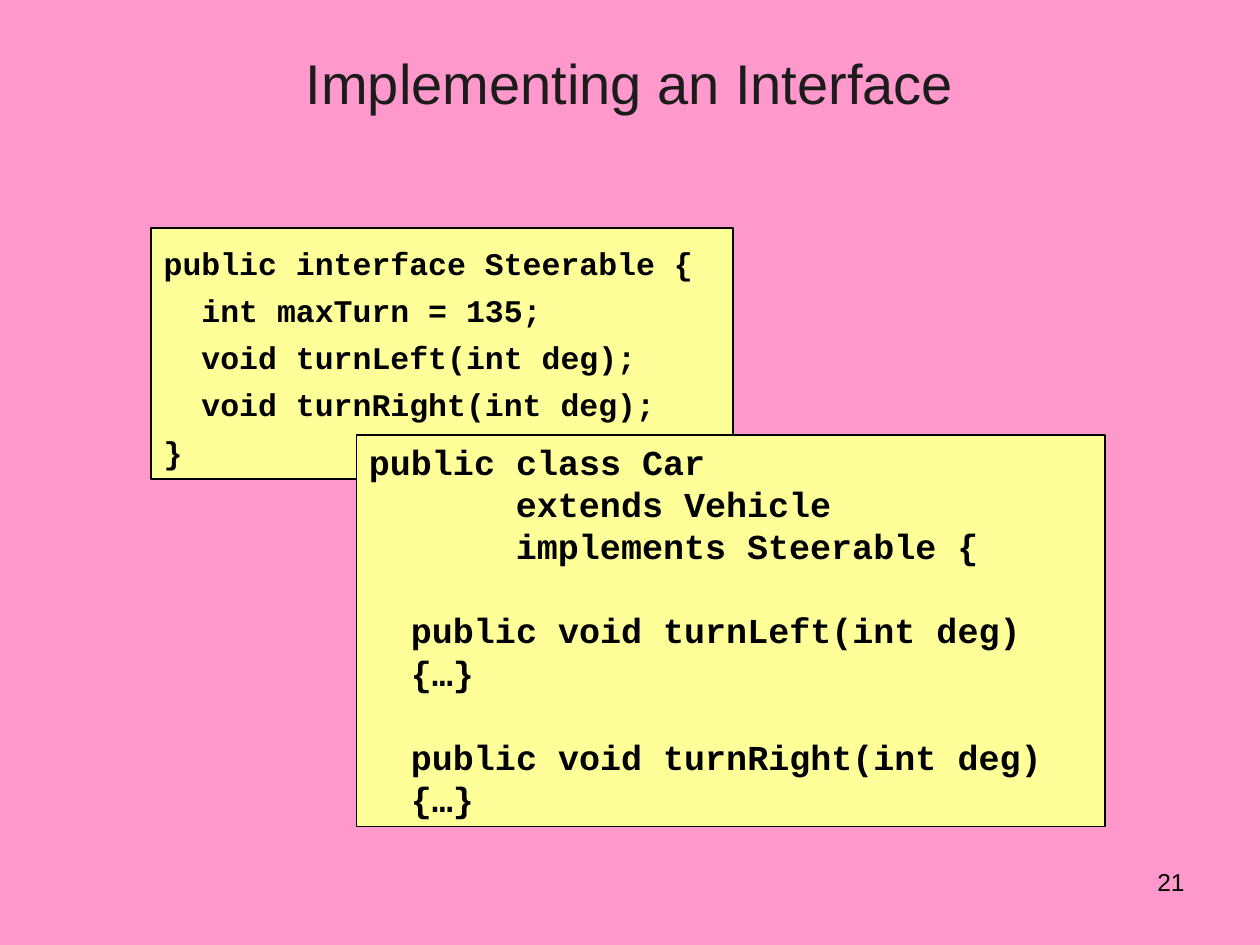
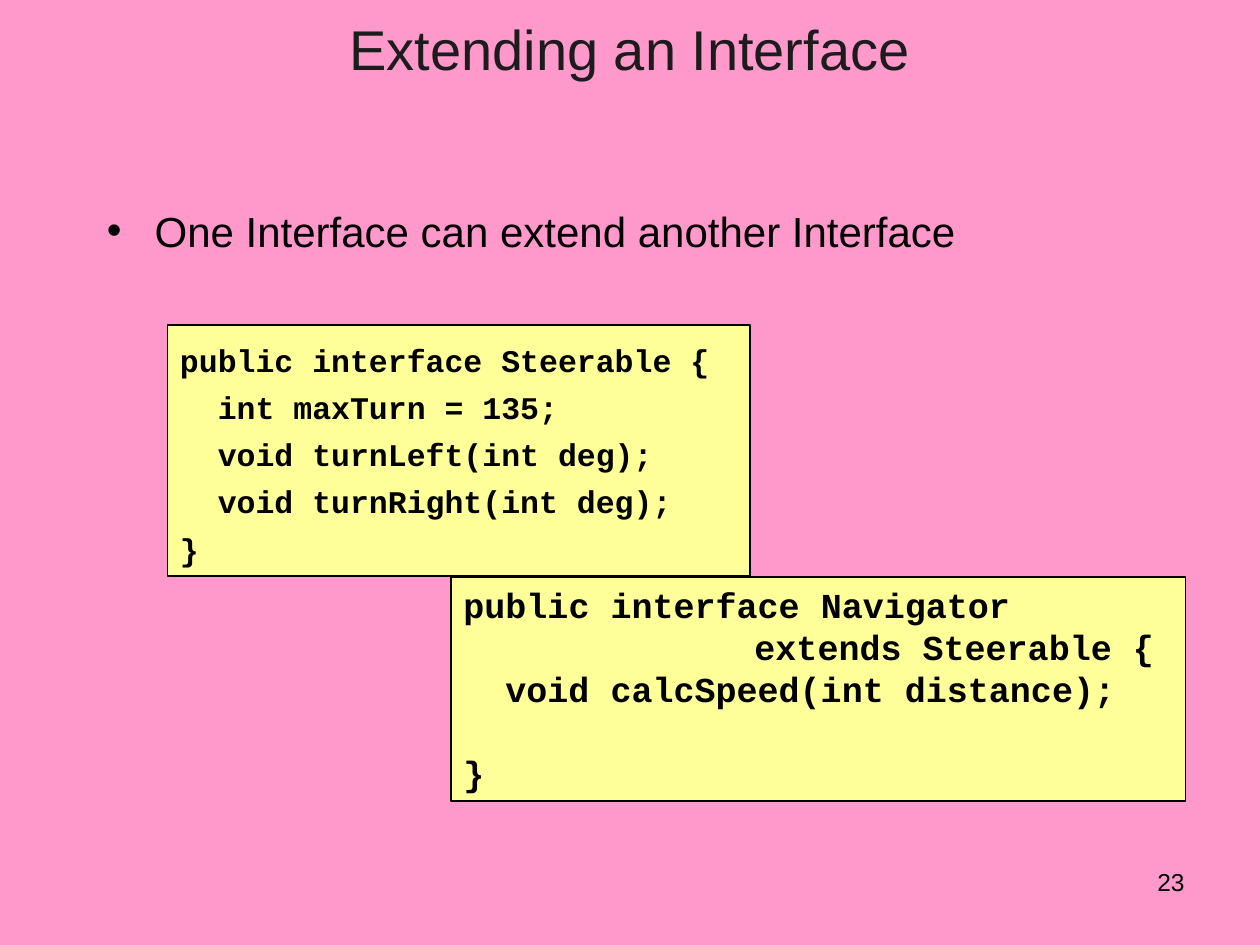
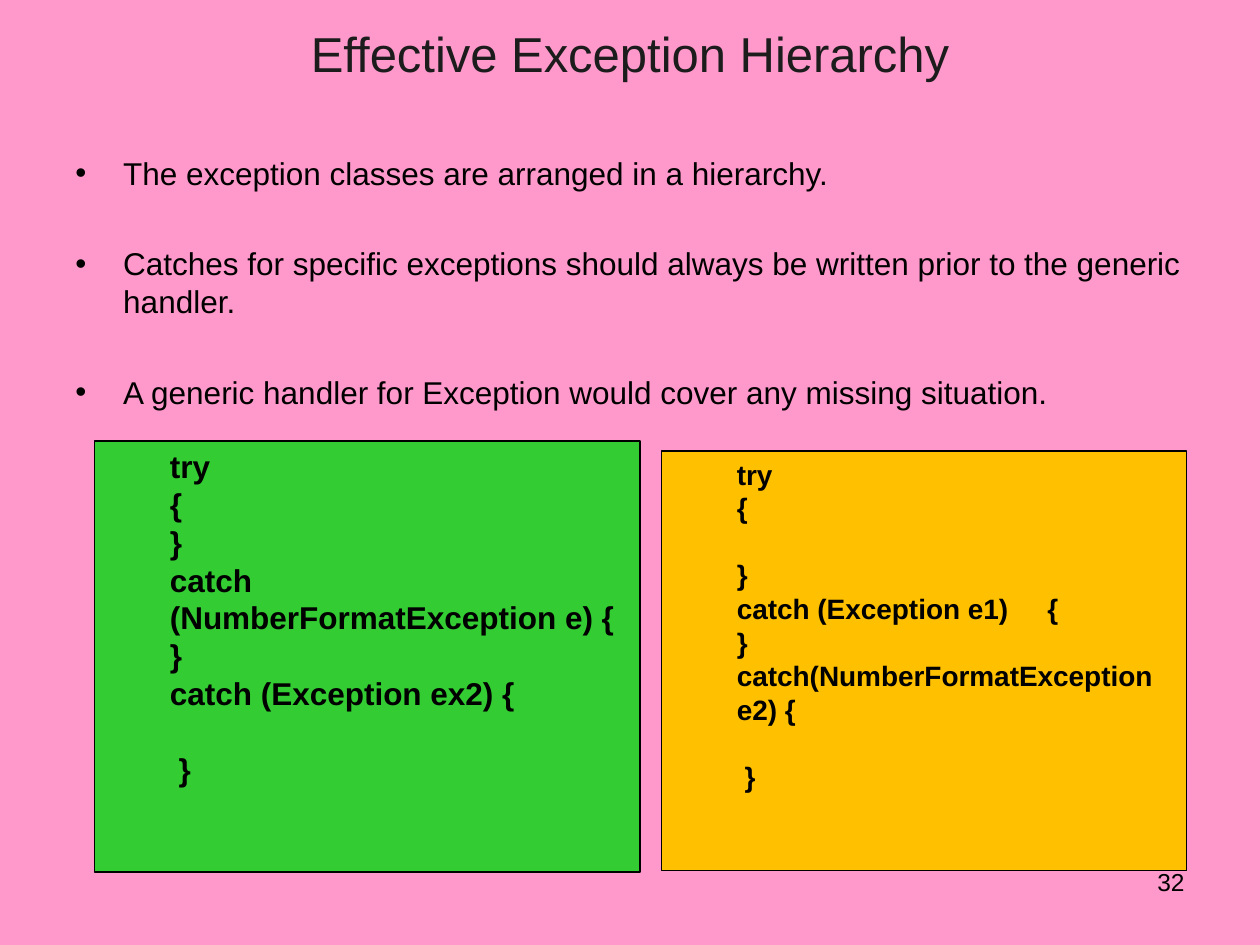
from dataclasses import dataclass

from lxml import etree
from pptx import Presentation
from pptx import util as u
from pptx.dml.color import RGBColor
from pptx.enum import shapes, text
from pptx.oxml import ns

COLOURS = {
    "page": "FF99CC",
    "title": "1C1C1C",
    "ink": "000000",
    "code": "FFFF99",
    "good": "33CC33",
    "bad": "FFC000",
}
LINE_HEIGHT = 1.2  # of the font size
MONO_WIDTH = 0.6  # of the font size
HANGING = 0.38
BULLET_GAP = 1.4  # in lines

TITLE = {"name": "Arial", "size": 32, "colour": "title"}
BODY = {"name": "Arial", "size": 18, "colour": "ink"}
NUMBER = {**BODY, "size": 14}
CODE = {"name": "Courier New", "size": 20, "bold": True, "colour": "ink"}
SAMPLE = {**BODY, "bold": True}


@dataclass
class Line:
    """One line of code; indent is in characters, gap in blank lines above."""
    words: str
    indent: float = 0
    gap: int = 0
    tail: str = ""


STEERABLE = [
    Line("public interface Steerable {"),
    Line("int maxTurn = 135;", 2),
    Line("void turnLeft(int deg);", 2),
    Line("void turnRight(int deg);", 2),
    Line("}"),
]
CAR = [
    Line("public class Car"),
    Line("extends Vehicle", 7),
    Line("implements Steerable {", 7),
    Line("public void turnLeft(int deg)", 2, gap=1),
    Line("{…}", 2),
    Line("public void turnRight(int deg)", 2, gap=1),
    Line("{…}", 2),
]
NAVIGATOR = [
    Line("public interface Navigator"),
    Line("extends Steerable {", 13.86),
    Line("void calcSpeed(int distance);", 2),
    Line("}", gap=1),
]
SPECIFIC_FIRST = [
    Line("try"),
    Line("{"),
    Line("}"),
    Line("catch (NumberFormatException e) {"),
    Line("}"),
    Line("catch (Exception ex2) {"),
    Line(" }", gap=1),
]
GENERIC_FIRST = [
    Line("try"),
    Line("{"),
    Line("}", gap=1),
    Line("catch (Exception e1)", tail="{"),
    Line("}"),
    Line("catch(NumberFormatException e2) {"),
    Line(" }", gap=1),
]


def colour(name):
    return RGBColor.from_string(COLOURS[name])


def add_span(para, words, style):
    span = para.add_run()
    span.text = words
    values = {**style, "size": u.Pt(style["size"])}
    span.font.color.rgb = colour(values.pop("colour"))
    for key, value in values.items():
        setattr(span.font, key, value)
    return span


def add_para(frame, words, style, first=False, spacing=1, gap=0, align=None):
    """Add a paragraph; gap is the space above it, in lines."""
    para = frame.paragraphs[0] if first else frame.add_paragraph()
    line = style["size"] * LINE_HEIGHT
    values = {"alignment": align, "line_spacing": u.Pt(line * spacing)}
    if gap:
        values["space_before"] = u.Pt(line * gap)
    for key, value in values.items():
        setattr(para, key, value)
    add_span(para, words, style)
    return para


def set_indent(para, left, first_line=0):
    props = para._p.get_or_add_pPr()
    props.set("marL", str(u.Inches(left)))
    props.set("indent", str(u.Inches(first_line)))
    return props


def add_text_box(page, box, anchor=text.MSO_ANCHOR.TOP):
    frame = page.shapes.add_textbox(*map(u.Inches, box)).text_frame
    frame.word_wrap = True
    frame.vertical_anchor = anchor
    return frame


def add_page(deck, title, number, title_top=0.3, title_size=32):
    page = deck.slides.add_slide(deck.slide_layouts[6])
    page.background.fill.solid()
    page.background.fill.fore_color.rgb = colour("page")
    frame = add_text_box(page, (7.17, 6.83, 2.33, 0.52))
    add_para(frame, number, NUMBER, first=True, align=text.PP_ALIGN.RIGHT)
    frame = add_text_box(page, (0.5, title_top, 9, 0.7), text.MSO_ANCHOR.MIDDLE)
    add_para(frame, title, {**TITLE, "size": title_size}, first=True,
             align=text.PP_ALIGN.CENTER)
    return page


def add_bullets(page, box, items, size):
    frame = add_text_box(page, box)
    for index, item in enumerate(items):
        para = add_para(frame, item, {**BODY, "size": size}, first=index == 0,
                        gap=BULLET_GAP if index else 0)
        props = set_indent(para, HANGING, -HANGING)
        for tag, key, value in (("a:buFont", "typeface", "Arial"),
                                ("a:buChar", "char", "•")):
            etree.SubElement(props, ns.qn(tag)).set(key, value)


def add_code(page, box, lines, style=CODE, fill="code", border=1, margin=0,
             spacing=1, align=text.PP_ALIGN.LEFT):
    panel = page.shapes.add_shape(shapes.MSO_SHAPE.RECTANGLE,
                                  *map(u.Inches, box))
    panel.shadow.inherit = False
    panel.fill.solid()
    panel.fill.fore_color.rgb = colour(fill)
    panel.line.color.rgb = colour("ink")
    panel.line.width = u.Pt(border)
    frame = panel.text_frame
    frame.word_wrap = True
    frame.vertical_anchor = text.MSO_ANCHOR.TOP
    character = style["size"] * MONO_WIDTH / 72
    for index, line in enumerate(lines):
        para = add_para(frame, line.words, style, index == 0, spacing,
                        line.gap, align)
        set_indent(para, margin + line.indent * character)
        if line.tail:
            space = add_span(para, " ", style)
            space.font._element.set("spc", "1780")  # widens the space
            add_span(para, line.tail, style)


def add_steerable(page, left, top):
    add_code(page, (left, top, 4.62, 1.99), STEERABLE, {**CODE, "size": 18},
             spacing=1.25)


def build_implementing(deck):
    page = add_page(deck, "Implementing an Interface", "21")
    add_steerable(page, 1.2, 1.81)
    add_code(page, (2.83, 3.45, 5.94, 3.11), CAR)


def build_extending(deck):
    page = add_page(deck, "Extending an Interface", "23", title_top=0.03)
    add_bullets(page, (0.75, 1.58, 8.5, 4.5),
                ["One Interface can extend another Interface"], 24)
    add_steerable(page, 1.33, 2.58)
    add_code(page, (3.58, 4.58, 5.83, 1.78), NAVIGATOR)


def build_exceptions(deck):
    page = add_page(deck, "Effective Exception Hierarchy", "32",
                    title_top=0.07, title_size=28)
    add_bullets(page, (0.5, 1.17, 9, 5.53), [
        "The exception classes are arranged in a hierarchy.",
        "Catches for specific exceptions should always be written prior to "
        "the generic handler.",
        "A generic handler for Exception would cover any missing situation.",
    ], 18)
    look = {"border": 0.75, "margin": 0.5}
    add_code(page, (0.75, 3.5, 4.33, 3.42), SPECIFIC_FIRST, SAMPLE, "good",
             **look)
    add_code(page, (5.25, 3.58, 4.17, 3.33), GENERIC_FIRST,
             {**SAMPLE, "size": 16}, "bad", align=text.PP_ALIGN.JUSTIFY, **look)


def main():
    deck = Presentation()
    deck.slide_width, deck.slide_height = u.Inches(10), u.Inches(7.5)
    for build in (build_implementing, build_extending, build_exceptions):
        build(deck)
    deck.save("out.pptx")


if __name__ == "__main__":
    main()
